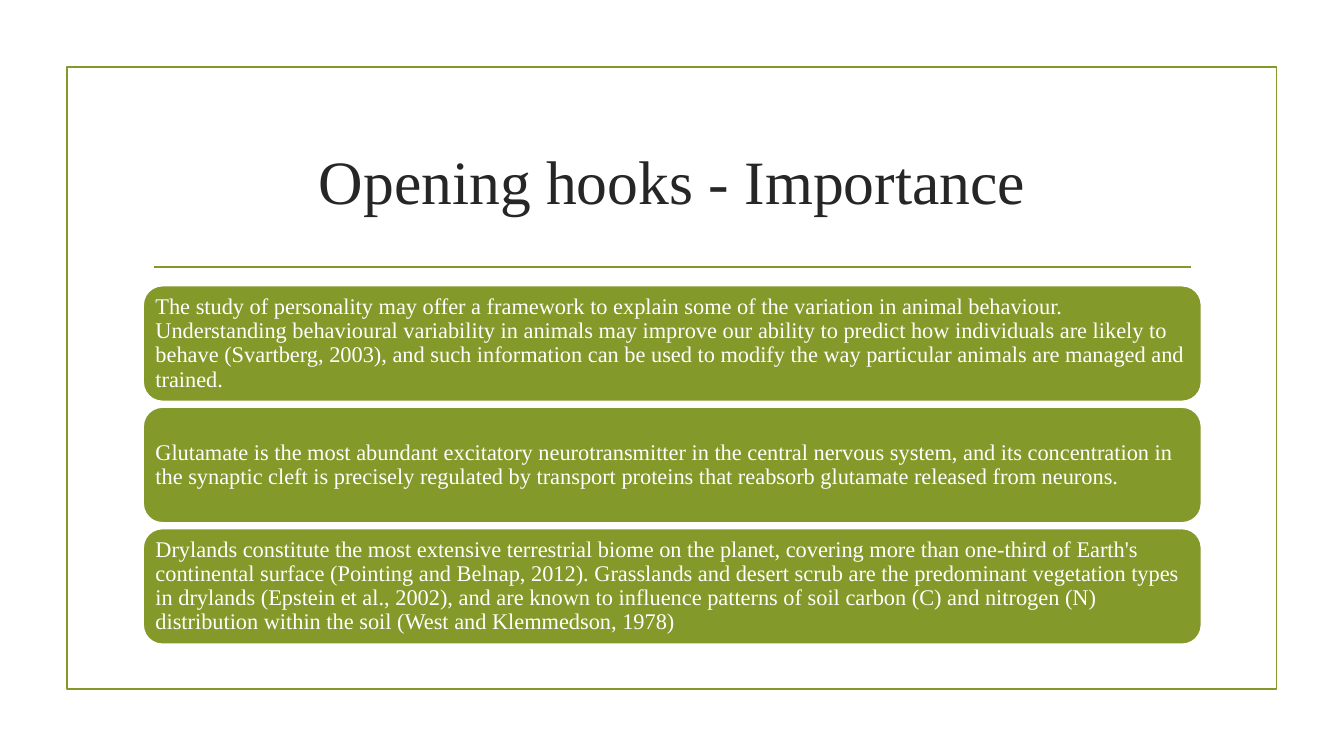
from dataclasses import dataclass

from lxml import etree
from pptx import Presentation
from pptx.dml.color import RGBColor
from pptx.enum.shapes import MSO_CONNECTOR, MSO_SHAPE
from pptx.enum.text import MSO_ANCHOR, MSO_AUTO_SIZE, PP_ALIGN
from pptx.oxml.ns import qn
from pptx.slide import Slide
from pptx.util import Pt

RECTANGLE = MSO_SHAPE.RECTANGLE
ROUNDED = MSO_SHAPE.ROUNDED_RECTANGLE
STRAIGHT = MSO_CONNECTOR.STRAIGHT
MIDDLE = MSO_ANCHOR.MIDDLE
NO_FIT = MSO_AUTO_SIZE.NONE
LEFT, CENTER = PP_ALIGN.LEFT, PP_ALIGN.CENTER


@dataclass(frozen=True)
class Theme:
    font: str = "Times New Roman"
    green: RGBColor = RGBColor(0x83, 0x99, 0x2A)
    white: RGBColor = RGBColor(0xFF, 0xFF, 0xFF)
    dark: RGBColor = RGBColor(0x26, 0x26, 0x26)
    title_size: float = 44
    hook_size: float = 16
    line_width: float = 1.25


@dataclass(frozen=True)
class Area:
    left: float
    top: float
    width: float
    height: float

    def lengths(self) -> tuple[Pt, Pt, Pt, Pt]:
        return Pt(self.left), Pt(self.top), Pt(self.width), Pt(self.height)


THEME = Theme()
PAGE_WIDTH, PAGE_HEIGHT = 960, 540
FRAME = Area(47.75, 48, 864, 444)
TITLE = Area(102.25, 77, 756, 103)
FIRST_HOOK = Area(102.25, 204, 756, 82.75)
HOOK_STEP = 86.75
HOOK_INSET = 4.8
RULE_LEFT, RULE_RIGHT, RULE_TOP = 110.25, 850.5, 190.8

HOOKS = (
    "The study of personality may offer a framework to explain some of the variation in animal "
    "behaviour. Understanding behavioural variability in animals may improve our ability to predict "
    "how individuals are likely to behave (Svartberg, 2003), and such information can be used to "
    "modify the way particular animals are managed and trained.",
    "Glutamate is the most abundant excitatory neurotransmitter in the central nervous system, and "
    "its concentration in the synaptic cleft is precisely regulated by transport proteins that "
    "reabsorb glutamate released from neurons.",
    "Drylands constitute the most extensive terrestrial biome on the planet, covering more than "
    "one-third of Earth's continental surface (Pointing and Belnap, 2012). Grasslands and desert "
    "scrub are the predominant vegetation types in drylands (Epstein et al., 2002), and are known to "
    "influence patterns of soil carbon (C) and nitrogen (N) distribution within the soil (West and "
    "Klemmedson, 1978)",
)


def write_text(box, text: str, *, size: float, color: RGBColor, align, spacing: float = 1.0) -> None:
    frame = box.text_frame
    frame.word_wrap = True
    frame.auto_size = NO_FIT
    frame.vertical_anchor = MIDDLE
    para = frame.paragraphs[0]
    para.alignment = align
    para.line_spacing = spacing
    span = para.add_run()
    span.text = text
    span.font.name = THEME.font
    span.font.size = Pt(size)
    span.font.color.rgb = color


def add_box(page: Slide, kind, area: Area, line: RGBColor, fill: RGBColor | None = None):
    box = page.shapes.add_shape(kind, *area.lengths())
    box.shadow.inherit = False
    if fill is None:
        box.fill.background()
    else:
        box.fill.solid()
        box.fill.fore_color.rgb = fill
    box.line.color.rgb = line
    box.line.width = Pt(THEME.line_width)
    return box


def add_rule(page: Slide) -> None:
    rule = page.shapes.add_connector(
        STRAIGHT, Pt(RULE_LEFT), Pt(RULE_TOP), Pt(RULE_RIGHT), Pt(RULE_TOP)
    )
    rule.line.color.rgb = THEME.green
    rule.line.width = Pt(THEME.line_width)
    etree.SubElement(rule._element.spPr, qn("a:effectLst"))


def add_title(page: Slide, text: str) -> None:
    title = page.shapes.title
    title.left, title.top, title.width, title.height = TITLE.lengths()
    write_text(title, text, size=THEME.title_size, color=THEME.dark, align=CENTER)


def add_hook(page: Slide, index: int, text: str) -> None:
    top = FIRST_HOOK.top + index * HOOK_STEP
    area = Area(FIRST_HOOK.left, top, FIRST_HOOK.width, FIRST_HOOK.height)
    box = add_box(page, ROUNDED, area, THEME.white, THEME.green)
    frame = box.text_frame
    frame.margin_left = frame.margin_right = Pt(HOOK_INSET)
    frame.margin_top = frame.margin_bottom = Pt(HOOK_INSET)
    write_text(box, text, size=THEME.hook_size, color=THEME.white, align=LEFT, spacing=0.9)


def main() -> None:
    deck = Presentation()
    deck.slide_width, deck.slide_height = Pt(PAGE_WIDTH), Pt(PAGE_HEIGHT)
    page = deck.slides.add_slide(deck.slide_layouts.get_by_name("Title Only"))
    add_box(page, RECTANGLE, FRAME, THEME.green)
    add_rule(page)
    add_title(page, "Opening hooks - Importance")
    for index, text in enumerate(HOOKS):
        add_hook(page, index, text)
    deck.save("out.pptx")


if __name__ == "__main__":
    main()
